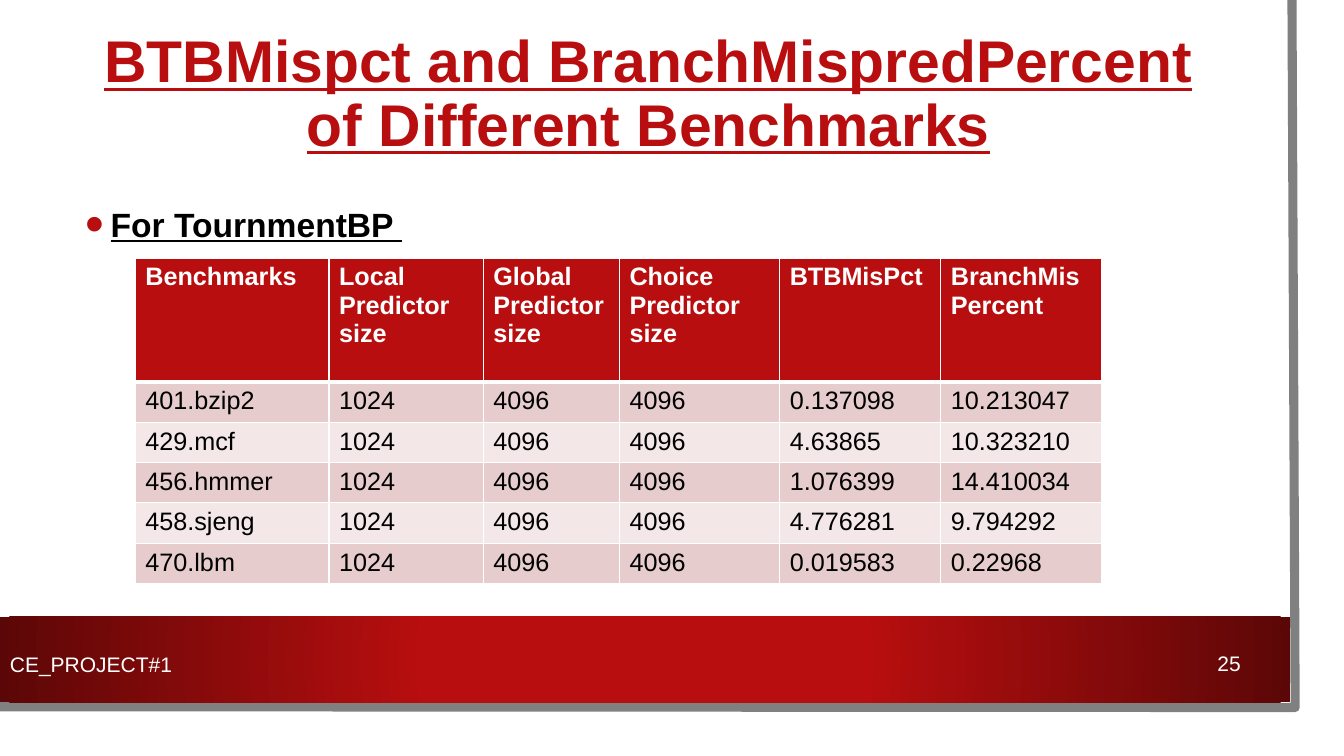
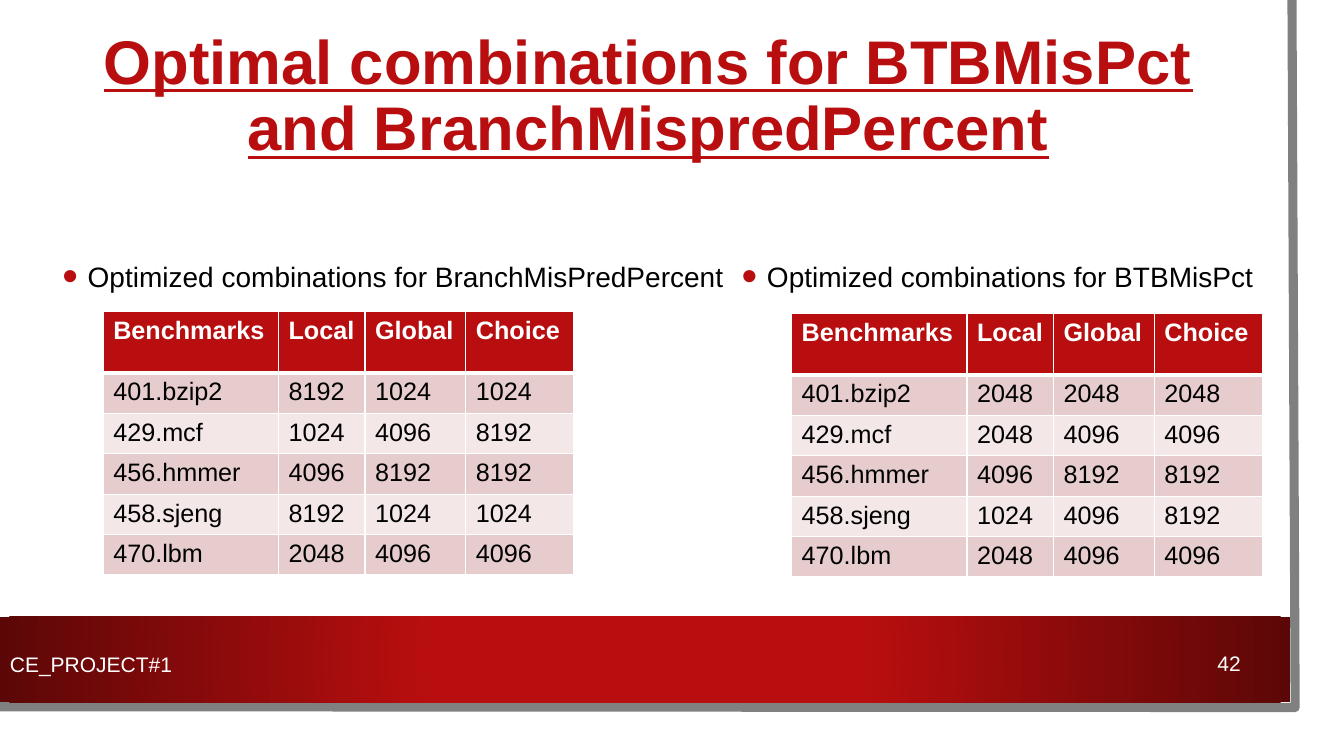
from dataclasses import dataclass

from lxml import etree
from pptx import Presentation
from pptx.dml.color import RGBColor
from pptx.enum.shapes import MSO_SHAPE
from pptx.enum.text import MSO_ANCHOR, PP_ALIGN
from pptx.oxml.ns import qn
from pptx.util import Cm, Pt

RECTANGLE = MSO_SHAPE.RECTANGLE
MIDDLE = MSO_ANCHOR.MIDDLE
LEFT = PP_ALIGN.LEFT
CENTER = PP_ALIGN.CENTER

FONT = "Arial"
COLORS = {
    "red": "B80E0F",
    "dark_red": "5C0707",
    "edge": "808080",
    "white": "FFFFFF",
    "black": "000000",
    "odd_row": "E6CCCC",
    "even_row": "F3E7E7",
}
FOOTER = "CE_PROJECT#1"
BODY_ROW_HEIGHT = 0.97
BENCHMARKS = ("401.bzip2", "429.mcf", "456.hmmer", "458.sjeng", "470.lbm")


@dataclass(frozen=True)
class Box:
    left: float
    top: float
    width: float
    height: float


@dataclass(frozen=True)
class TextStyle:
    size: int
    color: str
    emphasized: bool = False
    align: PP_ALIGN = LEFT
    line_spacing: float = 1.0
    bulleted: bool = False


@dataclass(frozen=True)
class Heading:
    text: str
    box: Box
    style: TextStyle


@dataclass(frozen=True)
class ResultTable:
    left: float
    top: float
    header_height: float
    column_widths: tuple[float, ...]
    header: tuple[str, ...]
    results: tuple[tuple[str, ...], ...]


@dataclass(frozen=True)
class ResultSlide:
    title: str
    title_top: float
    title_size: int
    number: int
    headings: tuple[Heading, ...]
    tables: tuple[ResultTable, ...]


FOOTER_STYLE = TextStyle(15, "white")
NUMBER_STYLE = TextStyle(15, "white", align=CENTER)
SECTION_STYLE = TextStyle(24, "black", emphasized=True, line_spacing=1.2, bulleted=True)
CAPTION_STYLE = TextStyle(20, "black", line_spacing=1.2, bulleted=True)

COMBINATION_COLUMNS = (4.42, 2.18, 2.54, 2.72)
COMBINATION_HEADER = ("Benchmarks", "Local", "Global", "Choice")

SLIDES = (
    ResultSlide(
        "BTBMispct and BranchMispredPercent of Different Benchmarks", 0.81, 42, 25,
        (Heading("For TournmentBP ", Box(1.9, 4.45, 28.88, 2.18), SECTION_STYLE),),
        (
            ResultTable(
                3.41, 6.5, 3.12,
                (4.88, 3.89, 3.43, 4.04, 4.06, 4.06),
                ("Benchmarks", "Local Predictor size", "Global Predictor size",
                 "Choice Predictor size", "BTBMisPct", "BranchMisPercent"),
                (
                    ("1024", "4096", "4096", "0.137098", "10.213047"),
                    ("1024", "4096", "4096", "4.63865", "10.323210"),
                    ("1024", "4096", "4096", "1.076399", "14.410034"),
                    ("1024", "4096", "4096", "4.776281", "9.794292"),
                    ("1024", "4096", "4096", "0.019583", "0.22968"),
                ),
            ),
        ),
    ),
    ResultSlide(
        "Optimal combinations for BTBMisPct and BranchMispredPercent", 0.86, 44, 42,
        (
            Heading("Optimized combinations for BranchMisPredPercent",
                    Box(1.32, 5.79, 17.8, 2.18), CAPTION_STYLE),
            Heading("Optimized combinations for BTBMisPct",
                    Box(18.44, 5.79, 14.2, 2.18), CAPTION_STYLE),
        ),
        (
            ResultTable(
                2.6, 7.85, 1.55, COMBINATION_COLUMNS, COMBINATION_HEADER,
                (
                    ("8192", "1024", "1024"),
                    ("1024", "4096", "8192"),
                    ("4096", "8192", "8192"),
                    ("8192", "1024", "1024"),
                    ("2048", "4096", "4096"),
                ),
            ),
            ResultTable(
                19.95, 7.9, 1.55, COMBINATION_COLUMNS, COMBINATION_HEADER,
                (
                    ("2048", "2048", "2048"),
                    ("2048", "4096", "4096"),
                    ("4096", "8192", "8192"),
                    ("1024", "4096", "8192"),
                    ("2048", "4096", "4096"),
                ),
            ),
        ),
    ),
)


def rgb(name: str) -> RGBColor:
    return RGBColor.from_string(COLORS[name])


def add_bullet(paragraph) -> None:
    properties = paragraph._p.get_or_add_pPr()
    properties.set("marL", str(Cm(0.64)))
    properties.set("indent", str(-Cm(0.64)))
    bullet_color = etree.SubElement(properties, qn("a:buClr"))
    etree.SubElement(bullet_color, qn("a:srgbClr"), val=COLORS["red"])
    etree.SubElement(properties, qn("a:buSzPct"), val="160000")
    etree.SubElement(properties, qn("a:buFont"), typeface=FONT)
    etree.SubElement(properties, qn("a:buChar"), char="•")


def add_text(slide, text: str, box: Box, style: TextStyle) -> None:
    frame = slide.shapes.add_textbox(
        Cm(box.left), Cm(box.top), Cm(box.width), Cm(box.height)).text_frame
    frame.word_wrap = True
    frame.vertical_anchor = MIDDLE
    paragraph = frame.paragraphs[0]
    paragraph.text = text
    paragraph.alignment = style.align
    paragraph.line_spacing = style.line_spacing
    paragraph.font.name = FONT
    paragraph.font.size = Pt(style.size)
    paragraph.font.color.rgb = rgb(style.color)
    paragraph.font.bold = style.emphasized
    paragraph.font.underline = style.emphasized
    if style.bulleted:
        paragraph.space_before = Pt(10)
        add_bullet(paragraph)


def add_page_edge(slide) -> None:
    outline = slide.shapes.build_freeform(Cm(32.56), 0)
    outline.add_line_segments(
        [(Cm(32.64), Cm(17.83)), (Cm(-0.08), Cm(17.81))], close=False)
    edge = outline.convert_to_shape()
    edge.shadow.inherit = False
    edge.fill.background()
    edge.line.color.rgb = rgb("edge")
    edge.line.width = Pt(6.5)


def add_footer_band(slide) -> None:
    band = slide.shapes.add_shape(RECTANGLE, 0, Cm(15.54), Cm(32.51), Cm(2.16))
    band.shadow.inherit = False
    band.line.fill.background()
    band.fill.gradient()
    stops = ((0.34, "red"), (1.0, "dark_red"))
    for stop, (position, color) in zip(band.fill.gradient_stops, stops):
        stop.position = position
        stop.color.rgb = rgb(color)
    gradient = band._element.spPr.find(qn("a:gradFill"))
    gradient.remove(gradient.find(qn("a:lin")))
    radial = etree.SubElement(gradient, qn("a:path"), path="circle")
    etree.SubElement(radial, qn("a:fillToRect"), l="50000", t="50000", r="50000", b="50000")


def set_borders(cell, top: int, bottom: int) -> None:
    properties = cell._tc.get_or_add_tcPr()
    for side, width in (("lnL", 1), ("lnR", 1), ("lnT", top), ("lnB", bottom)):
        border = etree.SubElement(properties, qn(f"a:{side}"), w=str(Pt(width)))
        fill = etree.SubElement(border, qn("a:solidFill"))
        etree.SubElement(fill, qn("a:srgbClr"), val=COLORS["white"])


def fill_cell(cell, text: str, row: int) -> None:
    is_header = row == 0
    set_borders(cell, 3 if row == 1 else 1, 3 if is_header else 1)
    cell.fill.solid()
    cell.fill.fore_color.rgb = rgb(
        "red" if is_header else "odd_row" if row % 2 else "even_row")
    paragraph = cell.text_frame.paragraphs[0]
    paragraph.text = text
    paragraph.font.name = FONT
    paragraph.font.size = Pt(18)
    paragraph.font.bold = is_header
    paragraph.font.color.rgb = rgb("white" if is_header else "black")


def add_result_table(slide, content: ResultTable) -> None:
    rows = [content.header]
    rows += [(name, *values) for name, values in zip(BENCHMARKS, content.results)]
    heights = [content.header_height] + [BODY_ROW_HEIGHT] * len(BENCHMARKS)
    table = slide.shapes.add_table(
        len(rows), len(content.header), Cm(content.left), Cm(content.top),
        Cm(sum(content.column_widths)), Cm(sum(heights))).table
    for column, width in zip(table.columns, content.column_widths):
        column.width = Cm(width)
    for row, (texts, height) in enumerate(zip(rows, heights)):
        table.rows[row].height = Cm(height)
        for column, text in enumerate(texts):
            fill_cell(table.cell(row, column), text, row)


def add_result_slide(deck, content: ResultSlide) -> None:
    slide = deck.slides.add_slide(deck.slide_layouts[6])
    add_page_edge(slide)
    add_footer_band(slide)
    title_style = TextStyle(
        content.title_size, "red", emphasized=True, align=CENTER, line_spacing=0.9)
    add_text(slide, content.title, Box(1.9, content.title_top, 28.88, 3.2), title_style)
    for heading in content.headings:
        add_text(slide, heading.text, heading.box, heading.style)
    for table in content.tables:
        add_result_table(slide, table)
    add_text(slide, str(content.number), Box(29.36, 16.21, 3.23, 1.02), NUMBER_STYLE)
    add_text(slide, FOOTER, Box(0, 16.03, 15.27, 1.4), FOOTER_STYLE)


def main() -> None:
    deck = Presentation()
    deck.slide_width = Cm(33.87)
    deck.slide_height = Cm(19.05)
    for content in SLIDES:
        add_result_slide(deck, content)
    deck.save("out.pptx")


if __name__ == "__main__":
    main()
